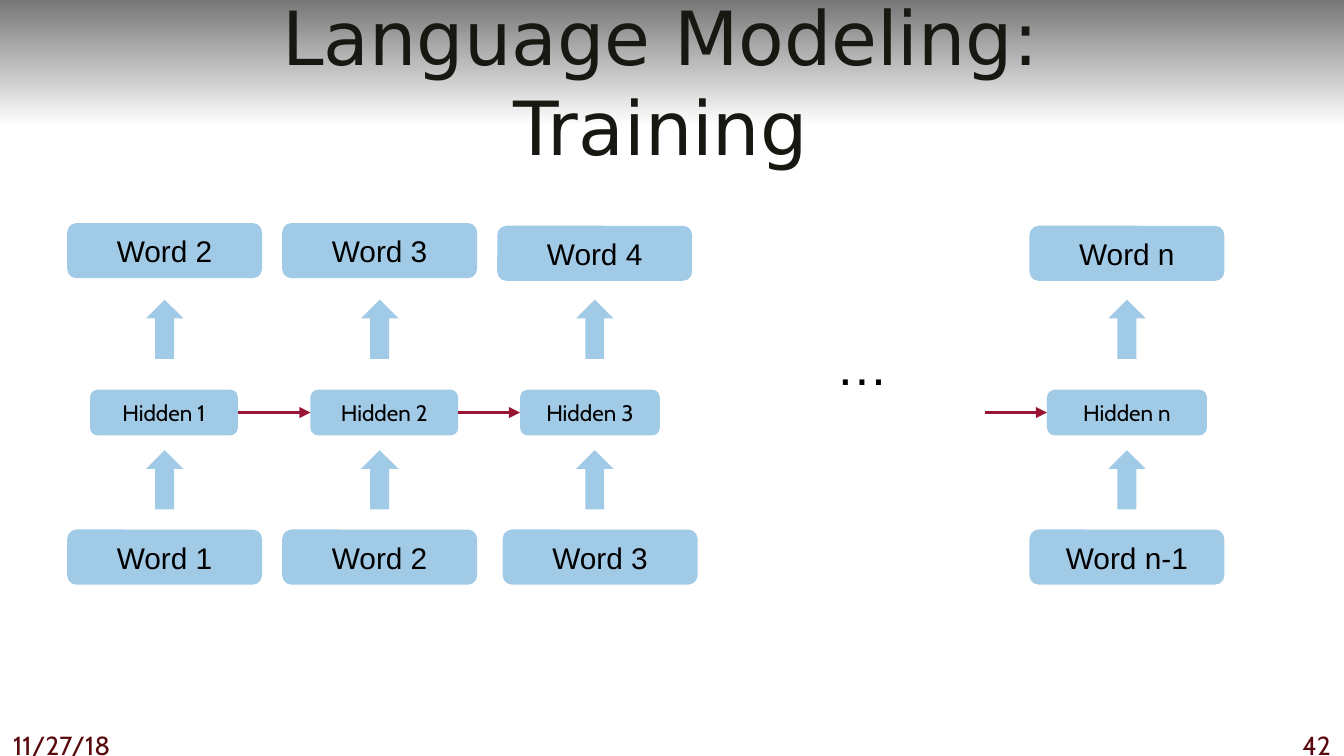
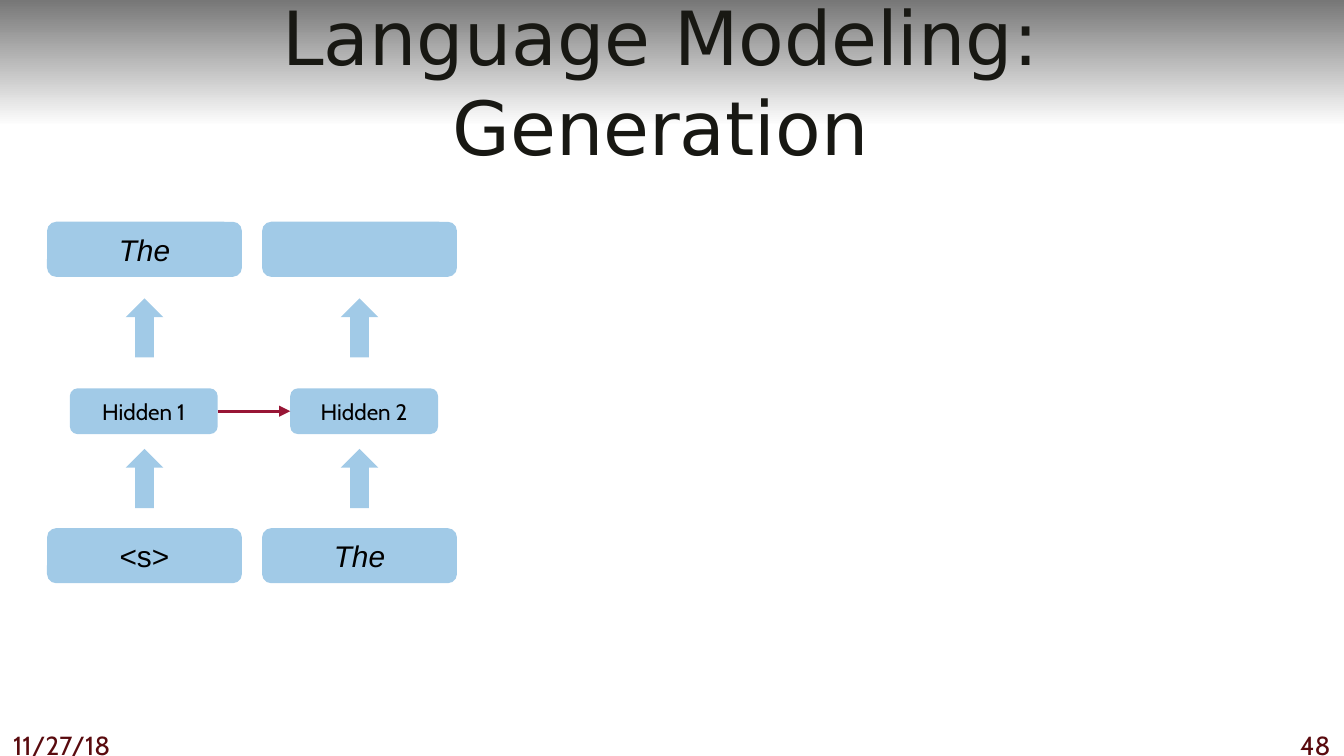
from dataclasses import dataclass

from lxml import etree
from pptx import Presentation
from pptx import util as u
from pptx.dml.color import RGBColor
from pptx.enum import shapes, text
from pptx.oxml import ns

BAND_GREY = RGBColor(0x77, 0x77, 0x77)
WHITE = RGBColor(0xFF, 0xFF, 0xFF)
BLACK = RGBColor(0x00, 0x00, 0x00)
TITLE_COLOR = RGBColor(0x18, 0x18, 0x13)
FOOTER_COLOR = RGBColor(0x59, 0x0A, 0x0E)
BLUE = RGBColor(0x00, 0x70, 0xC0)
CRIMSON = RGBColor(0x98, 0x15, 0x35)
BLUE_OPACITY = 37

TITLE_FONT, WORD_FONT, HIDDEN_FONT = "DejaVu Sans", "Arial", "Cabin"
DATE = "11/27/18"

# Network geometry in inches
WORD_WIDTH, WORD_HEIGHT = 1.45, 0.41
HIDDEN_HEIGHT = 0.34
ARROW_WIDTH, ARROW_HEIGHT = 0.28, 0.44
COLUMN_STEP = 1.6
UPPER_ARROW_TOP, HIDDEN_TOP = 2.23, 2.9
LOWER_ARROW_TOP, INPUT_TOP = 3.35, 3.94


@dataclass
class Column:
    """One time step; offsets are measured from the left of its output box."""
    left: float
    input_word: str
    hidden: str
    output_word: str
    hidden_offset: float = 0.17
    hidden_width: float = 1.1
    input_offset: float = 0
    output_top: float = 1.66
    italic_input: bool = False
    italic_output: bool = False


def box(left, top, width, height):
    return [u.Inches(value) for value in (left, top, width, height)]


def style_text(frame, font, size, color, alignment, italic=False):
    for paragraph in frame.paragraphs:
        paragraph.alignment = alignment
        for run in paragraph.runs:
            run.font.name = font
            run.font.size = u.Pt(size)
            run.font.color.rgb = color
            run.font.italic = italic or None


def add_text(slide, place, content, font, size, color, alignment, wrap=True):
    frame = slide.shapes.add_textbox(*box(*place)).text_frame
    frame.word_wrap = wrap
    frame.text = content
    style_text(frame, font, size, color, alignment)


def add_band(slide):
    band = slide.shapes.add_shape(shapes.MSO_SHAPE.RECTANGLE, *box(0, 0, 10, 0.94))
    band.shadow.inherit = False
    band.line.fill.background()
    band.fill.gradient()
    band.fill.gradient_angle = 270
    for stop, color in zip(band.fill.gradient_stops, (BAND_GREY, WHITE)):
        stop.color.rgb = color
    # Send the band behind the title
    slide.shapes.element.insert(2, band.element)


def add_blue_shape(slide, kind, place):
    shape = slide.shapes.add_shape(kind, *box(*place))
    shape.shadow.inherit = False
    shape.line.fill.background()
    shape.fill.solid()
    shape.fill.fore_color.rgb = BLUE
    color = shape.element.spPr.find(ns.qn("a:solidFill"))[0]
    etree.SubElement(color, ns.qn("a:alpha"), val=str(BLUE_OPACITY * 1000))
    return shape


def add_box(slide, place, label, font, size, italic=False):
    shape = add_blue_shape(slide, shapes.MSO_SHAPE.ROUNDED_RECTANGLE, place)
    frame = shape.text_frame
    frame.vertical_anchor = text.MSO_ANCHOR.MIDDLE
    if label:
        frame.text = label
        style_text(frame, font, size, BLACK, text.PP_ALIGN.CENTER, italic)
    return shape


def add_link(slide, target, source=None, length=0.46):
    """Arrow into the left side of target, from source or from open space."""
    middle = target.top + target.height // 2
    link = slide.shapes.add_connector(
        shapes.MSO_CONNECTOR.STRAIGHT,
        target.left - u.Inches(length), middle, target.left, middle)
    if source is not None:
        link.begin_connect(source, 3)
    link.end_connect(target, 1)
    link.line.color.rgb = CRIMSON
    link.line.width = u.Pt(1.75)
    line = link.element.spPr.find(ns.qn("a:ln"))
    etree.SubElement(line, ns.qn("a:tailEnd"), type="triangle")
    etree.SubElement(link.element.spPr, ns.qn("a:effectLst"))


def add_column(slide, column, rise=0):
    """Draw input, hidden and output boxes with arrows; return the hidden box."""
    left = column.left
    add_box(slide, (left + column.input_offset, INPUT_TOP - rise, WORD_WIDTH, WORD_HEIGHT),
            column.input_word, WORD_FONT, 16, column.italic_input)
    add_box(slide, (left, column.output_top - rise, WORD_WIDTH, WORD_HEIGHT),
            column.output_word, WORD_FONT, 16, column.italic_output)
    arrow_left = left + (WORD_WIDTH - ARROW_WIDTH) / 2
    for top in (LOWER_ARROW_TOP, UPPER_ARROW_TOP):
        add_blue_shape(slide, shapes.MSO_SHAPE.UP_ARROW,
                       (arrow_left, top - rise, ARROW_WIDTH, ARROW_HEIGHT))
    return add_box(
        slide,
        (left + column.hidden_offset, HIDDEN_TOP - rise, column.hidden_width, HIDDEN_HEIGHT),
        column.hidden, HIDDEN_FONT, 12)


def add_chain(slide, columns, rise=0):
    hidden_boxes = [add_column(slide, column, rise) for column in columns]
    for source, target in zip(hidden_boxes, hidden_boxes[1:]):
        add_link(slide, target, source)


def add_base_slide(presentation, title, number):
    slide = presentation.slides.add_slide(presentation.slide_layouts[5])
    add_band(slide)
    shape = slide.shapes.title
    shape.left, shape.top, shape.width, shape.height = box(0.04, 0.16, 9.75, 0.88)
    frame = shape.text_frame
    frame.text = title
    frame.auto_size = text.MSO_AUTO_SIZE.NONE
    frame.vertical_anchor = text.MSO_ANCHOR.MIDDLE
    style_text(frame, TITLE_FONT, 40, TITLE_COLOR, text.PP_ALIGN.CENTER)
    # Footer
    add_text(slide, (0, 5.38, 1.33, 0.25), DATE, HIDDEN_FONT, 14,
             FOOTER_COLOR, text.PP_ALIGN.LEFT)
    add_text(slide, (9.5, 5.38, 0.5, 0.25), str(number), HIDDEN_FONT, 14,
             FOOTER_COLOR, text.PP_ALIGN.RIGHT)
    return slide


def add_training_slide(presentation):
    slide = add_base_slide(presentation, "Language Modeling:\vTraining", 42)
    first = 0.5
    add_chain(slide, [
        Column(first, "Word 1", "Hidden 1", "Word 2"),
        Column(first + COLUMN_STEP, "Word 2", "Hidden 2", "Word 3", hidden_offset=0.21),
        Column(first + 2 * COLUMN_STEP, "Word 3", "Hidden 3", "Word 4",
               hidden_width=1.04, input_offset=0.04, output_top=1.68),
    ])
    # Last step, after the ellipsis
    add_text(slide, (6.12, 2.43, 0.52, 0.57), "…", WORD_FONT, 28, BLACK,
             text.PP_ALIGN.LEFT, wrap=False)
    last = Column(7.66, "Word n-1", "Hidden n", "Word n",
                  hidden_offset=0.13, hidden_width=1.19, output_top=1.68)
    add_link(slide, add_column(slide, last))


def add_generation_slide(presentation):
    slide = add_base_slide(presentation, "Language Modeling:\vGeneration", 48)
    first = 0.35
    add_chain(slide, [
        Column(first, "<s>", "Hidden 1", "The", italic_output=True),
        Column(first + COLUMN_STEP, "The", "Hidden 2", "",
               hidden_offset=0.21, italic_input=True),
    ], rise=0.01)


def main():
    presentation = Presentation()
    # Widescreen, 16 to 9
    presentation.slide_width = u.Inches(10)
    presentation.slide_height = u.Inches(10) * 9 // 16
    add_training_slide(presentation)
    add_generation_slide(presentation)
    presentation.save("out.pptx")


if __name__ == "__main__":
    main()
